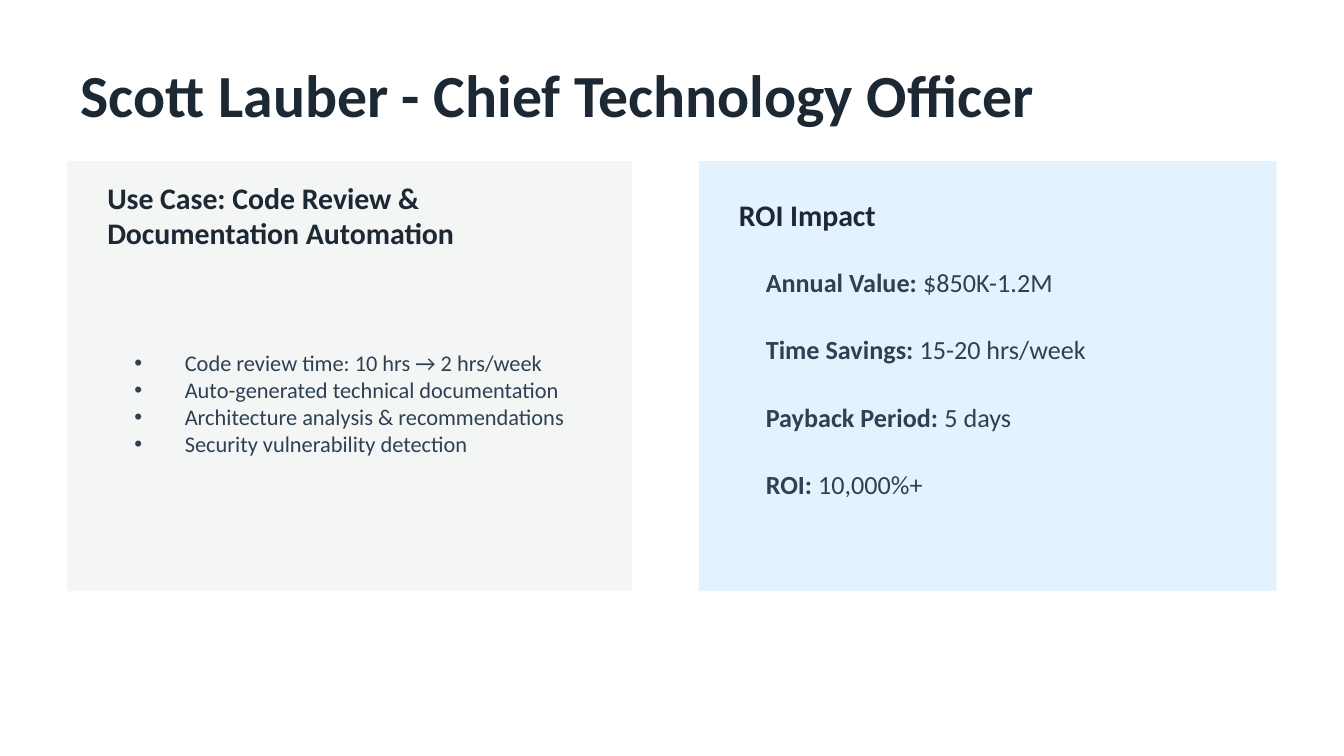
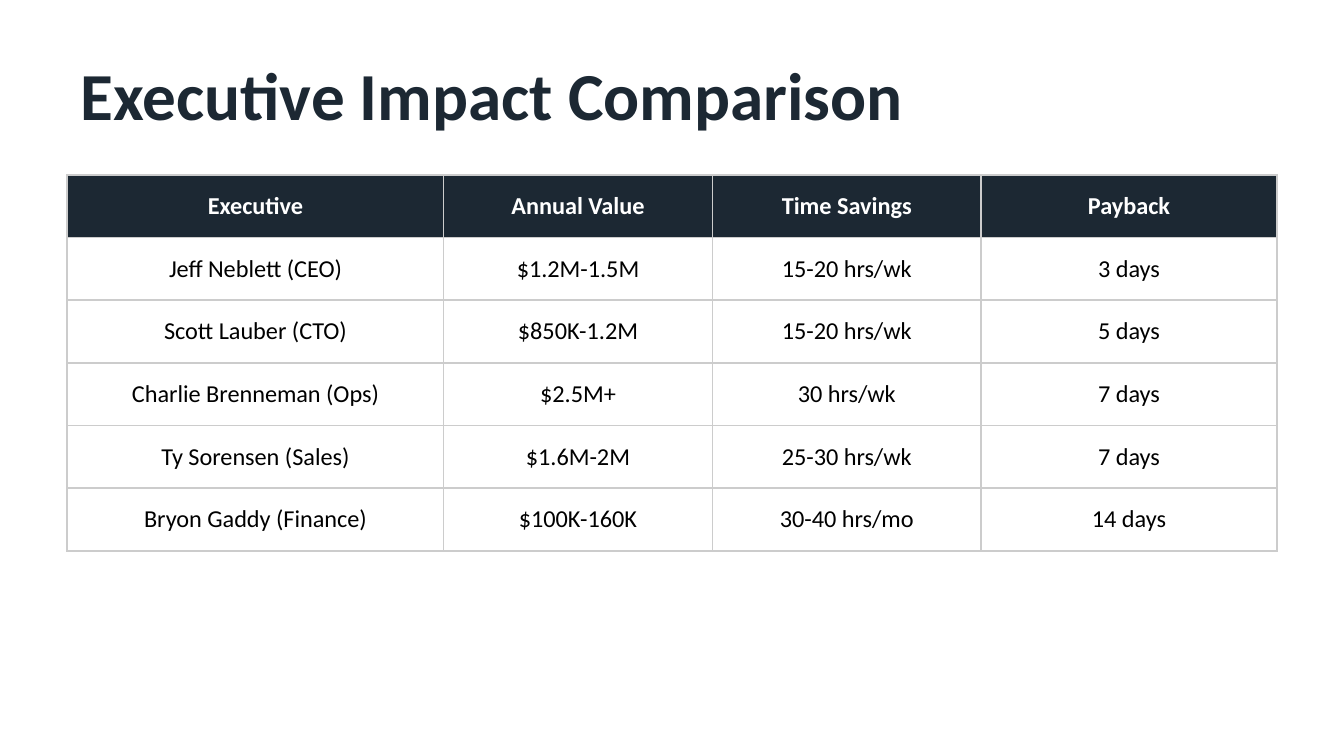
from lxml.etree import SubElement
from pptx import Presentation
from pptx.dml.color import RGBColor
from pptx.enum.shapes import MSO_SHAPE
from pptx.enum.text import MSO_ANCHOR, MSO_AUTO_SIZE, PP_ALIGN
from pptx.oxml.ns import qn
from pptx.util import Pt

NAVY = RGBColor(0x1C, 0x28, 0x33)
SLATE = RGBColor(0x2E, 0x40, 0x53)
PALE_GRAY = RGBColor(0xF4, 0xF6, 0xF6)
PALE_BLUE = RGBColor(0xE3, 0xF2, 0xFD)
BORDER_GRAY = RGBColor(0xCC, 0xCC, 0xCC)
WHITE = RGBColor(0xFF, 0xFF, 0xFF)
BLACK = RGBColor(0x00, 0x00, 0x00)
FONT = "Calibri"
MARGIN = 36
CONTENT_WIDTH = 648


def write_text(paragraph, text, size=14, color=SLATE, bold=False, align=PP_ALIGN.LEFT):
    run = paragraph.add_run()
    run.text = text
    run.font.name = FONT
    run.font.size = Pt(size)
    run.font.bold = bold
    run.font.color.rgb = color
    paragraph.alignment = align
    paragraph.space_before = Pt(0)


def place_text(shape, left, top, width, height):
    shape.left, shape.top = Pt(left), Pt(top)
    shape.width, shape.height = Pt(width), Pt(height)
    frame = shape.text_frame
    frame.word_wrap = True
    frame.auto_size = MSO_AUTO_SIZE.NONE
    frame.vertical_anchor = MSO_ANCHOR.MIDDLE
    return frame


presentation = Presentation()
presentation.slide_width = Pt(720)
presentation.slide_height = Pt(405)
content_layout = presentation.slide_layouts[1]
title_layout = presentation.slide_layouts[5]

slides = []
for layout, title, size in [
    (content_layout, "Scott Lauber - Chief Technology Officer", 32),
    (title_layout, "Executive Impact Comparison", 36),
]:
    slide = presentation.slides.add_slide(layout)
    frame = place_text(slide.shapes.title, MARGIN, 28.8, CONTENT_WIDTH, 43.2)
    write_text(frame.paragraphs[0], title, size=size, color=NAVY, bold=True)
    slides.append(slide)
profile_slide, comparison_slide = slides

for left, width, fill, heading in [
    (MARGIN, 302.4, PALE_GRAY, "Use Case: Code Review & Documentation Automation"),
    (374.4, 309.6, PALE_BLUE, "ROI Impact"),
]:
    panel = profile_slide.shapes.add_shape(
        MSO_SHAPE.RECTANGLE, Pt(left), Pt(86.4), Pt(width), Pt(230.4)
    )
    panel.shadow.inherit = False
    panel.fill.solid()
    panel.fill.fore_color.rgb = fill
    panel.line.fill.background()
    heading_box = profile_slide.shapes.add_textbox(0, 0, 0, 0)
    frame = place_text(heading_box, left + 14.4, 100.8, width - 28.8, 28.8)
    write_text(frame.paragraphs[0], heading, size=16, color=NAVY, bold=True)

benefits = [
    "Code review time: 10 hrs → 2 hrs/week",
    "Auto-generated technical documentation",
    "Architecture analysis & recommendations",
    "Security vulnerability detection",
]
body = profile_slide.placeholders[1]
body.element.getparent().append(body.element)
frame = place_text(body, 64.8, 136.8, 259.2, 158.4)
for index, benefit in enumerate(benefits):
    paragraph = frame.add_paragraph() if index else frame.paragraphs[0]
    write_text(paragraph, benefit, size=12)

metrics = [
    ("Annual Value: ", "$850K-1.2M"),
    ("Time Savings: ", "15-20 hrs/week"),
    ("Payback Period: ", "5 days"),
    ("ROI: ", "10,000%+"),
]
for index, (label, value) in enumerate(metrics):
    metric_box = profile_slide.shapes.add_textbox(0, 0, 0, 0)
    frame = place_text(metric_box, 403.2, 136.8 + 36 * index, 266.4, 28.8)
    write_text(frame.paragraphs[0], label, bold=True)
    write_text(frame.paragraphs[0], value)

rows = [
    ("Executive", "Annual Value", "Time Savings", "Payback"),
    ("Jeff Neblett (CEO)", "$1.2M-1.5M", "15-20 hrs/wk", "3 days"),
    ("Scott Lauber (CTO)", "$850K-1.2M", "15-20 hrs/wk", "5 days"),
    ("Charlie Brenneman (Ops)", "$2.5M+", "30 hrs/wk", "7 days"),
    ("Ty Sorensen (Sales)", "$1.6M-2M", "25-30 hrs/wk", "7 days"),
    ("Bryon Gaddy (Finance)", "$100K-160K", "30-40 hrs/mo", "14 days"),
]
column_widths = [201.6, 144, 144, 158.4]
table = comparison_slide.shapes.add_table(
    len(rows), len(column_widths), Pt(MARGIN), Pt(93.6), Pt(CONTENT_WIDTH), Pt(201.6)
).table
table.first_row = True
table.horz_banding = False
for column, width in zip(table.columns, column_widths):
    column.width = Pt(width)

for row_index, row in enumerate(rows):
    is_header = row_index == 0
    for column_index, text in enumerate(row):
        cell = table.cell(row_index, column_index)
        cell.vertical_anchor = MSO_ANCHOR.MIDDLE
        write_text(
            cell.text_frame.paragraphs[0],
            text,
            size=13,
            color=WHITE if is_header else BLACK,
            bold=is_header,
            align=PP_ALIGN.CENTER,
        )
        properties = cell._tc.get_or_add_tcPr()
        for side in ("a:lnL", "a:lnR", "a:lnT", "a:lnB"):
            border = SubElement(properties, qn(side), w=str(Pt(1)))
            border_fill = SubElement(border, qn("a:solidFill"))
            SubElement(border_fill, qn("a:srgbClr"), val=str(BORDER_GRAY))
        if is_header:
            cell.fill.solid()
            cell.fill.fore_color.rgb = NAVY
        else:
            cell.fill.background()

presentation.save("out.pptx")
